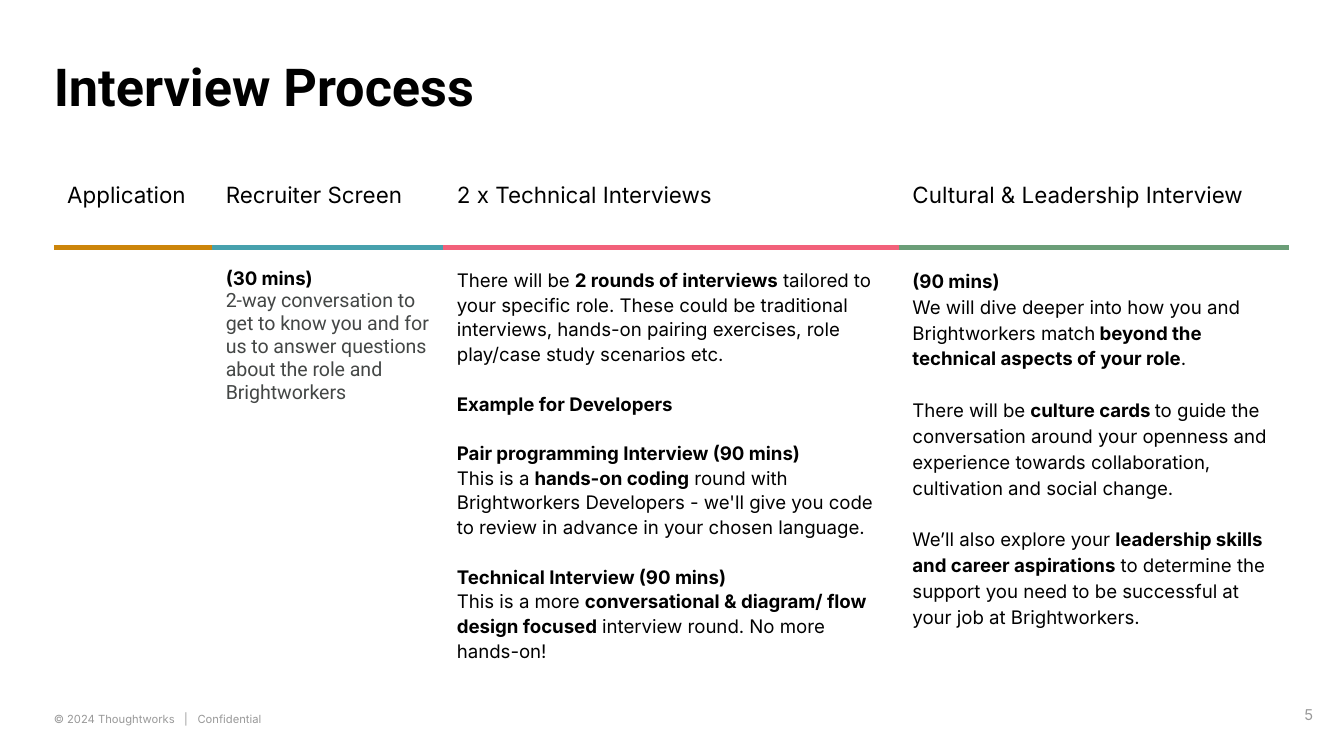
"""Build the interview process slide: one table column per hiring stage."""
from lxml import etree
from pptx import Presentation
from pptx.dml.color import RGBColor
from pptx.enum.text import MSO_ANCHOR, PP_ALIGN
from pptx.oxml.ns import qn
from pptx.util import Inches, Pt

TOP, MIDDLE, BOTTOM = MSO_ANCHOR.TOP, MSO_ANCHOR.MIDDLE, MSO_ANCHOR.BOTTOM
LEFT, RIGHT = PP_ALIGN.LEFT, PP_ALIGN.RIGHT
BLACK = RGBColor(0x00, 0x00, 0x00)
GREY = RGBColor(0x99, 0x99, 0x99)
SLATE = RGBColor(0x44, 0x47, 0x46)
OCHRE = RGBColor(0xCC, 0x85, 0x0A)
TEAL = RGBColor(0x47, 0xA1, 0xAD)
PINK = RGBColor(0xF2, 0x61, 0x7A)
GREEN = RGBColor(0x6B, 0x9E, 0x78)

BODY = ("Inter", 10, BLACK)
SCREEN = ("Roboto", 10.5, SLATE)
HEADING = ("Inter", 12, BLACK)
MARGIN = 0.4
ROW_HEIGHTS = (0.81, 0.78)
FOOTER_TABS = (0.97, 1.07)

# Each stage: heading, width, colour, line spacing, blocks of (style, text); ** marks bold.
STAGES = [
    ("Application", 1.18, OCHRE, 1, []),
    ("Recruiter Screen", 1.72, TEAL, 1, [
        [(BODY, "**(30 mins)**"),
         (SCREEN, "2-way conversation to get to know you and for us to answer "
                  "questions about the role and Brightworkers")],
    ]),
    ("2 x Technical Interviews", 3.39, PINK, 1.1, [
        [(BODY, "There will be **2 rounds of interviews** tailored to your specific role. "
                "These could be traditional interviews, hands-on pairing exercises, "
                "role play/case study scenarios etc.")],
        [(BODY, "**Example for Developers**")],
        [(BODY, "**Pair programming Interview (90 mins)**"),
         (BODY, "This is a **hands-on coding** round with Brightworkers Developers - we'll "
                "give you code to review in advance in your chosen language.")],
        [(BODY, "**Technical Interview (90 mins)**"),
         (BODY, "This is a more **conversational & diagram/ flow design focused** "
                "interview round. No more hands-on!")],
    ]),
    ("Cultural & Leadership Interview", 2.9, GREEN, 1.15, [
        [(BODY, "**(90 mins)**"),
         (BODY, "We will dive deeper into how you and Brightworkers match** beyond the "
                "technical aspects of your role**.")],
        [(BODY, "There will be **culture cards **to guide the conversation around your "
                "openness and experience towards collaboration, cultivation and social "
                "change.")],
        [(BODY, "We’ll also explore your **leadership skills and career aspirations** to "
                "determine the support you need to be successful at your job at "
                "Brightworkers.")],
    ]),
]


def write(p, text, style, bold=False, spacing=1, before=0, align=LEFT, tabs=()):
    p.alignment, p.line_spacing, p.space_before = align, spacing, Pt(before)
    if tabs:
        tab_list = etree.SubElement(p._p.get_or_add_pPr(), qn("a:tabLst"))
        for pos in tabs:
            etree.SubElement(tab_list, qn("a:tab"), pos=str(Inches(pos)), algn="l")
    name, size, color = style
    p.font.name, p.font.size, p.font.bold = name, Pt(size), bold
    p.font.color.rgb = color
    for i, part in enumerate(text.split("**")):
        if part:
            r = p.add_run()
            r.text = part
            if i % 2:
                r.font.bold = True


def set_frame(tf, inset, anchor):
    tf.word_wrap = True
    tf.margin_left = tf.margin_right = tf.margin_top = tf.margin_bottom = Inches(inset)
    tf.vertical_anchor = anchor


def add_text(slide, box, text, style, inset, anchor, align=LEFT, tabs=()):
    tf = slide.shapes.add_textbox(*map(Inches, box)).text_frame
    set_frame(tf, inset, anchor)
    write(tf.paragraphs[0], text, style, align=align, tabs=tabs)


def format_cell(cell, ruled_side, color, top, anchor):
    cell.margin_left = cell.margin_right = cell.margin_bottom = Inches(0.1)
    cell.margin_top, cell.vertical_anchor = Inches(top), anchor
    tcPr = cell._tc.get_or_add_tcPr()
    for side in ("lnL", "lnR", "lnT", "lnB"):
        ln = etree.SubElement(tcPr, qn(f"a:{side}"))
        if side == ruled_side:
            ln.set("w", str(Pt(3)))
            fill = etree.SubElement(ln, qn("a:solidFill"))
            etree.SubElement(fill, qn("a:srgbClr")).set("val", str(color))
        else:
            etree.SubElement(ln, qn("a:noFill"))
    cell.fill.background()


def add_stages(slide):
    widths = [stage[1] for stage in STAGES]
    box = (MARGIN, 1.03, sum(widths), sum(ROW_HEIGHTS))
    table = slide.shapes.add_table(2, len(STAGES), *map(Inches, box)).table
    table.first_row = table.horz_banding = False
    for row, height in zip(table.rows, ROW_HEIGHTS):
        row.height = Inches(height)
    for col, (heading, width, color, spacing, blocks) in enumerate(STAGES):
        table.columns[col].width = Inches(width)
        head, body = table.cell(0, col), table.cell(1, col)
        format_cell(head, "lnB", color, 0.1, MIDDLE)
        format_cell(body, "lnT", color, 0.15, TOP)
        write(head.text_frame.paragraphs[0], heading, HEADING, spacing=1.15)
        tf = body.text_frame
        for b, block in enumerate(blocks):
            for i, (style, text) in enumerate(block):
                first = b == i == 0
                p = tf.paragraphs[0] if first else tf.add_paragraph()
                gap = 12.1 * spacing if b and not i else 0
                write(p, text, style, spacing=spacing, before=gap)


def main():
    prs = Presentation()
    prs.slide_width = Inches(10)
    prs.slide_height = prs.slide_width * 9 // 16
    slide = prs.slides.add_slide(prs.slide_layouts[5])
    title = slide.shapes.title
    title.left, title.top, title.width, title.height = map(Inches, (MARGIN, 0.4, 9.19, 0.63))
    set_frame(title.text_frame, 0, TOP)
    write(title.text_frame.paragraphs[0], "Interview Process", ("Roboto", 28, BLACK), bold=True)
    add_stages(slide)
    add_text(slide, (MARGIN, 5.21, 4.31, 0.19), "© 2024 Thoughtworks\t|\tConfidential",
             ("Inter", 6, GREY), 0, BOTTOM, tabs=FOOTER_TABS)
    add_text(slide, (9.27, 5.1, 0.6, 0.43), "5", ("Inter", 8, GREY), 0.1, MIDDLE, RIGHT)
    prs.save("out.pptx")


if __name__ == "__main__":
    main()
